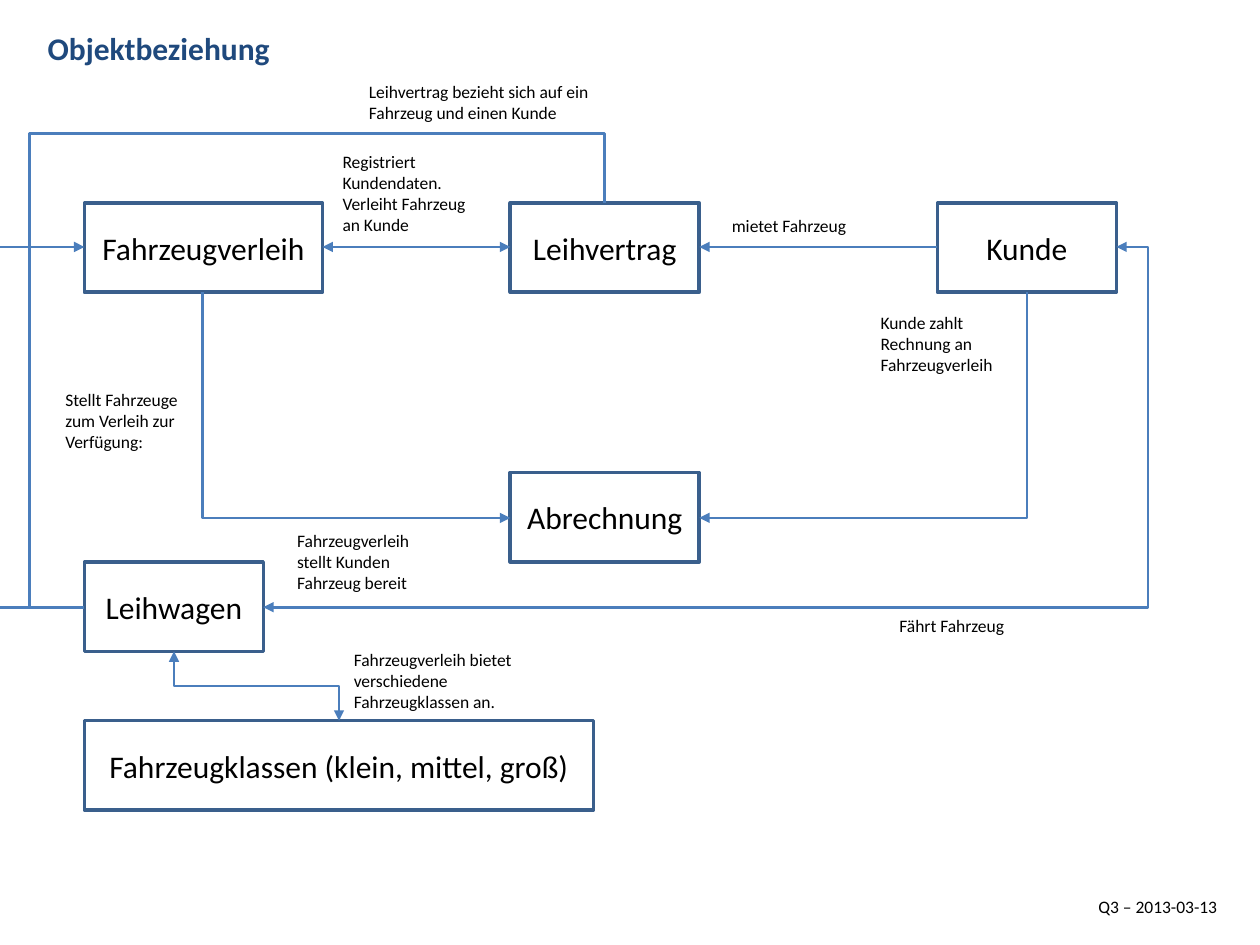
from lxml.etree import SubElement
from pptx import Presentation
from pptx.dml.color import RGBColor
from pptx.enum.shapes import MSO_CONNECTOR as Connector, MSO_SHAPE as Shape
from pptx.enum.text import MSO_ANCHOR as Anchor, MSO_AUTO_SIZE as AutoSize, PP_ALIGN as Align
from pptx.oxml.ns import qn
from pptx.util import Inches, Pt


def color(value):
    return RGBColor.from_string(value)


class Diagram:
    font = "Calibri"
    black, white, title_blue = "000000", "FFFFFF", "1F497D"
    border, arrow = "3A5F8C", "4B7EBC"

    def __init__(self, slide):
        self.slide = slide

    def set_text(self, text_frame, text, size, text_color, bold=False, align=Align.LEFT):
        text_frame.word_wrap = True
        text_frame.text = text
        for paragraph in text_frame.paragraphs:
            paragraph.alignment = align
            for run in paragraph.runs:
                run.font.name = self.font
                run.font.size = Pt(size)
                run.font.bold = bold
                run.font.color.rgb = color(text_color)

    def box(self, text, left, top, width, height=0.71):
        shape = self.slide.shapes.add_shape(
            Shape.RECTANGLE, Inches(left), Inches(top), Inches(width), Inches(height))
        shape.shadow.inherit = False
        shape.fill.solid()
        shape.fill.fore_color.rgb = color(self.white)
        shape.line.color.rgb = color(self.border)
        shape.line.width = Pt(2)
        shape.text_frame.vertical_anchor = Anchor.MIDDLE
        self.set_text(shape.text_frame, text, 18, self.black, align=Align.CENTER)

    def label(self, text, left, top, width, height, size=10, text_color=black, bold=False):
        shape = self.slide.shapes.add_textbox(
            Inches(left), Inches(top), Inches(width), Inches(height))
        self.set_text(shape.text_frame, text, size, text_color, bold)
        shape.text_frame.auto_size = AutoSize.SHAPE_TO_FIT_TEXT

    def line(self, start, end, arrows=(), kind=Connector.STRAIGHT):
        """Connect two points; arrows names the ends that carry a triangle."""
        connector = self.slide.shapes.add_connector(
            kind, *(Inches(value) for value in (*start, *end)))
        connector.line.color.rgb = color(self.arrow)
        connector.line.width = Pt(1.5)
        properties = connector._element.spPr
        for name in arrows:
            SubElement(properties.find(qn("a:ln")), qn(f"a:{name}"), type="triangle")
        SubElement(properties, qn("a:effectLst"))
        return connector

    def elbow(self, start, end, arrows=(), preset="bentConnector3", adjust=(), vertical=False):
        """Draw a bent connector; vertical makes it leave the start up or down."""
        if vertical:
            (x1, y1), (x2, y2) = start, end
            middle_x, middle_y = (x1 + x2) / 2, (y1 + y2) / 2
            half_x, half_y = (x2 - x1) / 2, (y2 - y1) / 2
            start = middle_x + half_y, middle_y - half_x
            end = middle_x - half_y, middle_y + half_x
        connector = self.line(start, end, arrows, Connector.ELBOW)
        properties = connector._element.spPr
        if vertical:
            properties.find(qn("a:xfrm")).set("rot", str(270 * 60000))
        geometry = properties.find(qn("a:prstGeom"))
        geometry.set("prst", preset)
        guides = geometry.find(qn("a:avLst"))
        for number, share in enumerate(adjust, 1):
            SubElement(guides, qn("a:gd"), name=f"adj{number}",
                       fmla=f"val {round(share * 100000)}")


def main():
    presentation = Presentation()
    presentation.slide_width, presentation.slide_height = Inches(10), Inches(7.5)
    diagram = Diagram(presentation.slides.add_slide(presentation.slide_layouts[6]))

    left, center, top_row = 0.67, 4.05, 1.61
    top_axis, billing_axis, car_axis = 1.96, 4.11, 4.82
    head, tail = ("headEnd",), ("tailEnd",)
    both = head + tail

    for box in (
        ("Kunde", 7.44, top_row, 1.42),
        ("Fahrzeugklassen (klein, mittel, groß)", left, 5.72, 4.04),
        ("Fahrzeugverleih", left, top_row, 1.89),
        ("Leihvertrag", center, top_row, 1.5),
        ("Abrechnung", center, 3.75, 1.5),
        ("Leihwagen", left, 4.46, 1.42),
    ):
        diagram.box(*box)

    for label in (
        ("Fahrzeugverleih bietet verschiedene Fahrzeugklassen an.", 2.71, 5.1, 1.77, 0.61),
        ("Stellt Fahrzeuge zum Verleih zur Verfügung:", 0.42, 3.04, 1.1, 0.78),
        ("Fährt Fahrzeug", 7.04, 4.83, 1.77, 0.27),
        ("mietet Fahrzeug", 5.71, 1.66, 1.18, 0.27),
        ("Registriert Kundendaten.\nVerleiht Fahrzeug an Kunde", 2.62, 1.15, 1.28, 0.77),
        ("Fahrzeugverleih stellt Kunden Fahrzeug bereit", 2.26, 4.16, 1.15, 0.61),
        ("Kunde zahlt Rechnung an Fahrzeugverleih", 6.89, 2.43, 1.1, 0.61),
        ("Leihvertrag bezieht sich auf ein Fahrzeug und einen Kunde", 2.83, 0.59, 2.27, 0.44),
        ("Q3 – 2013-03-13", 8.62, 7.06, 1.16, 0.27),
    ):
        diagram.label(*label)
    diagram.label("Objektbeziehung", 0.28, 0.18, 2.13, 0.4, 18, diagram.title_blue, True)

    diagram.line((5.55, top_axis), (7.44, top_axis), head)
    diagram.line((2.56, top_axis), (center, top_axis), both)
    diagram.line((left, top_axis), (0, top_axis), head)
    diagram.line((0, car_axis), (left, car_axis))

    diagram.elbow((8.86, top_axis), (2.09, car_axis), both, adjust=(-0.037,))
    diagram.elbow((5.55, billing_axis), (8.15, 2.32), head, "bentConnector2")
    diagram.elbow((1.61, 2.32), (center, billing_axis), tail, "bentConnector2", vertical=True)
    diagram.elbow((1.38, 5.17), (2.69, 5.72), both, vertical=True)
    diagram.elbow((4.8, top_row), (left, car_axis), (), "bentConnector4",
                  (-0.171, 1.106), vertical=True)

    presentation.save("out.pptx")


if __name__ == "__main__":
    main()
